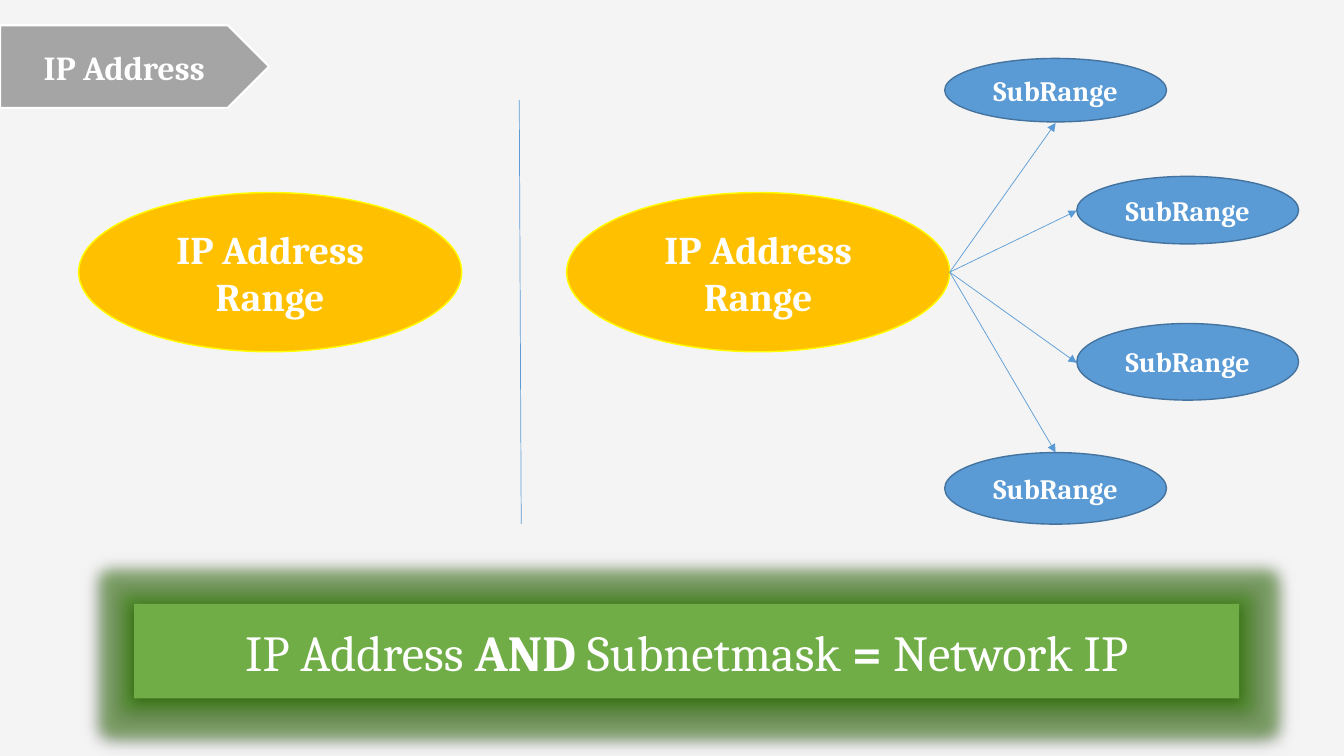
from typing import NamedTuple

from lxml import etree
from pptx import Presentation
from pptx.dml.color import RGBColor
from pptx.enum.shapes import MSO_CONNECTOR, MSO_SHAPE
from pptx.enum.text import MSO_ANCHOR, PP_ALIGN
from pptx.oxml.ns import qn
from pptx.util import Pt

OVAL = MSO_SHAPE.OVAL
TAG = MSO_SHAPE.PENTAGON
RECT = MSO_SHAPE.RECTANGLE
LINE = MSO_CONNECTOR.STRAIGHT
CENTER = PP_ALIGN.CENTER
MIDDLE = MSO_ANCHOR.MIDDLE

PX = 9144  # EMU per px, 100 px to the inch
FONT = "Cambria"
COLORS = {
    "back": "F4F4F4", "white": "FFFFFF", "gold": "FFC000", "yellow": "FFFF00",
    "blue": "5B9BD5", "navy": "43739E", "gray": "A5A5A5", "green": "70AD47",
    "glow": "4EA21A", "black": "000000",
}


class Box(NamedTuple):
    left: int
    top: int
    width: int
    height: int


class Style(NamedTuple):
    form: int
    fill: str
    edge: str | None
    weight: float
    size: int


class Node(NamedTuple):
    box: Box
    tip: tuple[int, int]


RANGE = Style(OVAL, "gold", "yellow", 1, 28)
SUB = Style(OVAL, "blue", "navy", 1, 20)
TITLE = Style(TAG, "gray", "white", 1.5, 24)
BANNER = Style(RECT, "green", None, 0, 36)

RANGES = [Box(78, 191, 380, 158), Box(562, 191, 380, 158)]
HUB = (942, 270)
NODES = [
    Node(Box(937, 58, 220, 63), (1047, 122)),
    Node(Box(1068, 175, 220, 67), (1068, 209)),
    Node(Box(1068, 321, 220, 76), (1068, 360)),
    Node(Box(937, 449, 220, 71), (1047, 449)),
]
FORMULA = [("IP Address ", False), ("AND ", True), ("Subnetmask ", False),
           ("=", True), (" Network IP", False)]


def color(name: str) -> RGBColor:
    return RGBColor.from_string(COLORS[name])


def add_text(para, text: str, *, size: int, bold: bool = True,
             tint: str = "white") -> None:
    run = para.add_run()
    run.text = text
    run.font.name = FONT
    run.font.size = Pt(size)
    run.font.bold = bold
    run.font.color.rgb = color(tint)


def add_box(slide, box: Box, style: Style, parts: list[tuple[str, bool]]):
    shape = slide.shapes.add_shape(style.form, *(n * PX for n in box))
    shape.shadow.inherit = False
    shape.fill.solid()
    shape.fill.fore_color.rgb = color(style.fill)
    if style.edge:
        shape.line.color.rgb = color(style.edge)
        shape.line.width = Pt(style.weight)
    else:
        shape.line.fill.background()
    frame = shape.text_frame
    frame.word_wrap = True
    frame.vertical_anchor = MIDDLE
    para = frame.paragraphs[0]
    para.alignment = CENTER
    for text, bold in parts:
        add_text(para, text, size=style.size, bold=bold)
    return shape


def add_line(slide, start: tuple[int, int], end: tuple[int, int],
             arrow: bool = False) -> None:
    line = slide.shapes.add_connector(LINE, *(n * PX for n in start + end))
    line.line.color.rgb = color("blue")
    line.line.width = Pt(0.5)
    if arrow:
        etree.SubElement(line.line._get_or_add_ln(), qn("a:tailEnd"), type="triangle")
    etree.SubElement(line._element.spPr, qn("a:effectLst"))


def add_glow(shape) -> None:
    effects = shape._element.spPr.find(qn("a:effectLst"))
    glow = etree.SubElement(effects, qn("a:glow"), rad=str(Pt(18)))
    tint = etree.SubElement(glow, qn("a:srgbClr"), val=COLORS["glow"])
    etree.SubElement(tint, qn("a:alpha"), val="40000")
    shade = etree.SubElement(effects, qn("a:outerShdw"), blurRad=str(Pt(8.5)),
                             dist=str(Pt(1)), dir="5400000", algn="ctr")
    etree.SubElement(shade, qn("a:srgbClr"), val=COLORS["black"])


def main() -> None:
    deck = Presentation()
    deck.slide_width, deck.slide_height = 1333 * PX, 750 * PX
    slide = deck.slides.add_slide(deck.slide_layouts[6])
    slide.background.fill.solid()
    slide.background.fill.fore_color.rgb = color("back")

    # Address ranges
    for box in RANGES:
        add_box(slide, box, RANGE, [("IP Address Range", True)])

    # Subranges and their arrows
    for node in NODES:
        add_box(slide, node.box, SUB, [("SubRange", True)])
        add_line(slide, HUB, node.tip, arrow=True)

    # Title tag and divider
    add_box(slide, Box(0, 25, 267, 82), TITLE, [("IP Address", True)])
    add_line(slide, (515, 99), (517, 520))

    # Formula banner
    add_glow(add_box(slide, Box(133, 599, 1096, 94), BANNER, FORMULA))

    deck.save("out.pptx")


if __name__ == "__main__":
    main()
